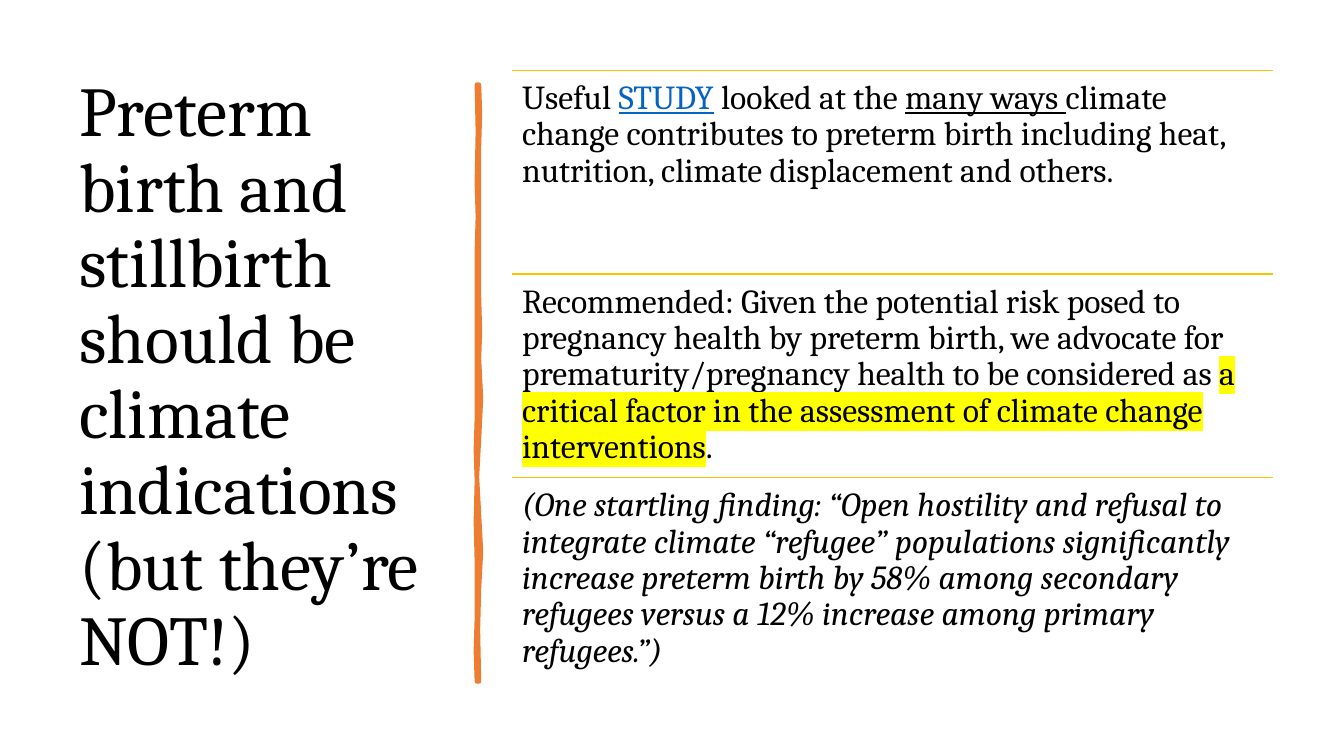
from lxml.etree import SubElement
from pptx import Presentation
from pptx.dml.color import RGBColor
from pptx.enum.shapes import MSO_CONNECTOR
from pptx.enum.text import MSO_ANCHOR
from pptx.oxml.ns import qn
from pptx.util import Inches, Pt

BLACK = RGBColor(0x00, 0x00, 0x00)
LINK_BLUE = RGBColor(0x05, 0x63, 0xC1)
ORANGE = RGBColor(0xED, 0x7D, 0x31)
GOLD = RGBColor(0xFF, 0xC0, 0x00)
YELLOW = RGBColor(0xFF, 0xFF, 0x00)

TITLE = "Preterm birth and stillbirth should be climate indications (but they’re NOT!)"
FINDINGS = [
    [
        ("Useful ", {}),
        ("STUDY", {"color": LINK_BLUE, "underline": True}),
        (" looked at the ", {}),
        ("many ways ", {"underline": True}),
        ("climate change contributes to preterm birth including heat, "
         "nutrition, climate displacement and others.", {}),
    ],
    [
        ("Recommended: Given the potential risk posed to pregnancy health by "
         "preterm birth, we advocate for prematurity/pregnancy health to be "
         "considered as ", {}),
        ("a critical factor in the assessment of climate change interventions",
         {"highlight": YELLOW}),
        (".", {}),
    ],
    [
        ("(One startling finding: “Open hostility and refusal to integrate "
         "climate “refugee” populations significantly increase preterm birth "
         "by 58% among secondary refugees versus a 12% increase among primary "
         "refugees.”)", {"italic": True}),
    ],
]
BRUSH_STROKE = [
    (4.75, 0.84), (4.76, 1.12), (4.75, 1.46), (4.75, 2.26), (4.75, 2.94),
    (4.76, 3.3), (4.75, 3.56), (4.77, 3.95), (4.75, 4.36), (4.73, 4.73),
    (4.75, 5.1), (4.77, 5.47), (4.75, 5.84), (4.74, 6.25), (4.75, 6.76),
    (4.73, 6.76), (4.72, 6.45), (4.73, 6.13), (4.73, 5.57), (4.72, 5.17),
    (4.73, 4.77), (4.72, 4.46), (4.73, 4.15), (4.73, 3.35), (4.73, 2.5),
    (4.74, 2.15), (4.73, 1.81), (4.74, 1.3), (4.73, 0.84),
]
FINDING_LEFT, FINDING_TOP = 5.08, 0.7
FINDING_WIDTH, FINDING_HEIGHT = 7.55, 2.02


class SlideWriter:
    font_name = "Cambria"
    line_spacing = 0.9

    def __init__(self, slide):
        self.slide = slide

    def text(self, left, top, width, height, runs, size, frame_format):
        box = self.slide.shapes.add_textbox(
            Inches(left), Inches(top), Inches(width), Inches(height))
        frame = box.text_frame
        for name, value in {"word_wrap": True, **frame_format}.items():
            setattr(frame, name, value)
        paragraph = frame.paragraphs[0]
        paragraph.line_spacing = self.line_spacing
        for words, style in runs:
            self.run(paragraph, words, size, **style)

    def run(self, paragraph, words, size, color=BLACK, highlight=None, **style):
        run = paragraph.add_run()
        run.text = words
        run.font.color.rgb = color
        if highlight is not None:
            marker = SubElement(run.font._element, qn("a:highlight"))
            SubElement(marker, qn("a:srgbClr"), val=str(highlight))
        font_format = {"name": self.font_name, "size": Pt(size), **style}
        for name, value in font_format.items():
            setattr(run.font, name, value)

    def rule(self, left, top, width):
        rule = self.slide.shapes.add_connector(
            MSO_CONNECTOR.STRAIGHT, Inches(left), Inches(top),
            Inches(left + width), Inches(top))
        rule.line.color.rgb = GOLD
        rule.line.width = Pt(1)
        SubElement(rule._element.spPr, qn("a:effectLst"))

    def stroke(self, points):
        start, *rest = [(Inches(x), Inches(y)) for x, y in points]
        builder = self.slide.shapes.build_freeform(*start)
        builder.add_line_segments(rest, close=True)
        stroke = builder.convert_to_shape()
        stroke.shadow.inherit = False
        stroke.fill.solid()
        stroke.fill.fore_color.rgb = ORANGE
        stroke.line.color.rgb = ORANGE
        stroke.line.width = Pt(3.25)
        SubElement(stroke.line._get_or_add_ln(), qn("a:round"))


def main():
    deck = Presentation()
    deck.slide_width, deck.slide_height = Inches(13.33), Inches(7.5)
    writer = SlideWriter(deck.slides.add_slide(deck.slide_layouts[6]))

    writer.text(0.69, 0.7, 3.74, 6.11, [(TITLE, {})], 50,
                {"vertical_anchor": MSO_ANCHOR.MIDDLE})
    writer.stroke(BRUSH_STROKE)

    sides = ("left", "top", "right", "bottom")
    finding_format = {f"margin_{side}": Inches(0.1) for side in sides}
    finding_format["vertical_anchor"] = MSO_ANCHOR.TOP
    for row, finding in enumerate(FINDINGS):
        top = FINDING_TOP + row * FINDING_HEIGHT
        writer.rule(FINDING_LEFT, top, FINDING_WIDTH)
        writer.text(FINDING_LEFT, top, FINDING_WIDTH, FINDING_HEIGHT,
                    finding, 24, finding_format)

    deck.save("out.pptx")


if __name__ == "__main__":
    main()
